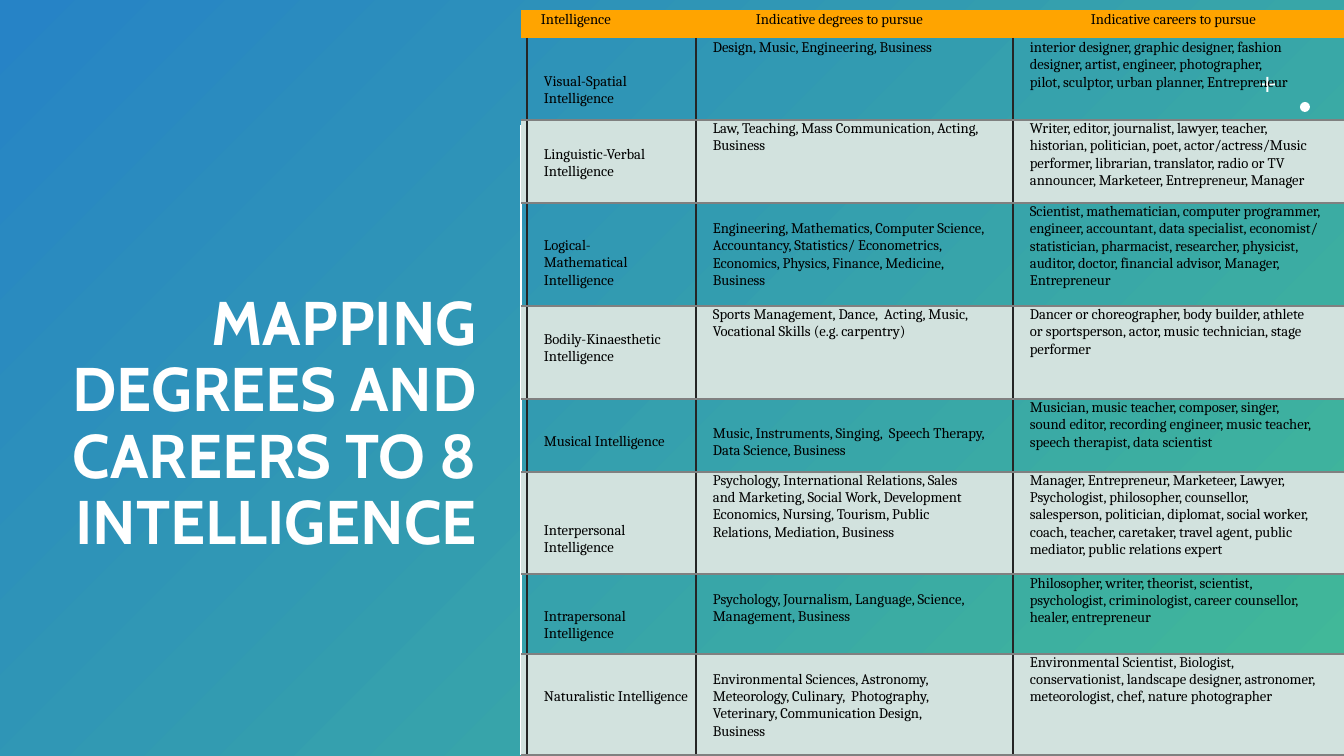
"""Build a slide that maps eight intelligences to degrees and careers."""
from lxml import etree
from pptx import Presentation
from pptx.dml.color import RGBColor
from pptx.enum.shapes import MSO_CONNECTOR, MSO_SHAPE
from pptx.enum.text import MSO_ANCHOR, MSO_AUTO_SIZE, PP_ALIGN
from pptx.oxml.ns import qn
from pptx.util import Pt

STRAIGHT = MSO_CONNECTOR.STRAIGHT
RECTANGLE, CROSS, OVAL = MSO_SHAPE.RECTANGLE, MSO_SHAPE.CROSS, MSO_SHAPE.OVAL
MIDDLE, RIGHT, NO_FIT = MSO_ANCHOR.MIDDLE, PP_ALIGN.RIGHT, MSO_AUTO_SIZE.NONE
BLUE = RGBColor(0x26, 0x83, 0xC6)
GREEN = RGBColor(0x42, 0xBA, 0x97)
WHITE = RGBColor(0xFF, 0xFF, 0xFF)
BLACK = RGBColor(0x00, 0x00, 0x00)
ORANGE = RGBColor(0xFF, 0xA4, 0x00)
PALE = RGBColor(0xD2, 0xE2, 0xDE)
DARK = RGBColor(0x25, 0x25, 0x25)
GREY = RGBColor(0x80, 0x80, 0x80)
PX = 914400 / 100.8
NO_STYLE = "{2D5ABB26-0587-4C30-8999-92F81FD0307C}"

COLUMN_WIDTHS = [6, 169, 317, 331]
ROW_HEIGHTS = [28, 82, 83, 103, 93, 73, 102, 80, 101]
HEADINGS = "Intelligence\tIndicative degrees to pursue\tIndicative careers to pursue"
HEADING_TABS = [215, 550]

# Each entry holds the text, its top inset and its right inset.
INTELLIGENCES = [
    [("Visual-Spatial Intelligence", 35, 29),
     ("Design, Music, Engineering, Business", 1, 20),
     ("interior designer, graphic designer, fashion designer, artist, engineer, "
      "photographer, pilot, sculptor, urban planner, Entrepreneur", 1, 52)],
    [("Linguistic-Verbal Intelligence", 26, 29),
     ("Law, Teaching, Mass Communication, Acting, Business", 0, 20),
     ("Writer, editor, journalist, lawyer, teacher, historian, politician, poet, "
      "actor/actress/Music performer, librarian, translator, radio or TV announcer, "
      "Marketeer, Entrepreneur, Manager", 0, 26)],
    [("Logical-Mathematical Intelligence", 34, 29),
     ("Engineering, Mathematics, Computer Science, Accountancy, Statistics/ "
      "Econometrics, Economics, Physics, Finance, Medicine, Business", 17, 20),
     ("Scientist, mathematician, computer programmer, engineer, accountant, "
      "data specialist, economist/ statistician, pharmacist, researcher, physicist, "
      "auditor, doctor, financial advisor, Manager, Entrepreneur", 0, 15)],
    [("Bodily-Kinaesthetic Intelligence", 25, 29),
     ("Sports Management, Dance,  Acting, Music, Vocational Skills (e.g. carpentry)", 0, 20),
     ("Dancer or choreographer, body builder, athlete or sportsperson, actor, "
      "music technician, stage performer", 0, 31)],
    [("Musical Intelligence", 34, 29),
     ("Music, Instruments, Singing,  Speech Therapy, Data Science, Business", 26, 18),
     ("Musician, music teacher, composer, singer, sound editor, recording engineer, "
      "music teacher, speech therapist, data scientist", 0, 28)],
    [("Interpersonal Intelligence", 50, 29),
     ("Psychology, International Relations, Sales and Marketing, Social Work, "
      "Development Economics, Nursing, Tourism, Public Relations, Mediation, Business", 0, 38),
     ("Manager, Entrepreneur, Marketeer, Lawyer, Psychologist, philosopher, "
      "counsellor, salesperson, politician, diplomat, social worker, coach, teacher, "
      "caretaker, travel agent, public mediator, public relations expert", 0, 25)],
    [("Intrapersonal Intelligence", 34, 29),
     ("Psychology, Journalism, Language, Science, Management, Business", 17, 20),
     ("Philosopher, writer, theorist, scientist, psychologist, criminologist, "
      "career counsellor, healer, entrepreneur", 1, 26)],
    [("Naturalistic Intelligence", 34, 2),
     ("Environmental Sciences, Astronomy, Meteorology, Culinary,  Photography, "
      "Veterinary, Communication Design, Business", 17, 58),
     ("Environmental Scientist, Biologist, conservationist, landscape designer, "
      "astronomer, meteorologist, chef, nature photographer", 0, 22)],
]


def px(*lengths):
    return [round(length * PX) for length in lengths]


def write_cell(cell, text, left, top, right):
    cell.margin_left, cell.margin_top, cell.margin_right, cell.margin_bottom = px(left, top, right, 0)
    cell.text_frame.text = text
    for run in cell.text_frame.paragraphs[0].runs:
        run.font.name, run.font.size, run.font.color.rgb = "Cambria", Pt(10.5), BLACK


presentation = Presentation()
presentation.slide_width, presentation.slide_height = px(1344, 756)
slide = presentation.slides.add_slide(presentation.slide_layouts[5])
shapes = slide.shapes

backdrop = shapes.add_shape(RECTANGLE, *px(0, 0, 1344, 756))
backdrop.shadow.inherit = False
backdrop.line.fill.background()
backdrop.fill.gradient()
backdrop.fill.gradient_angle = 315
for stop, color, position in zip(backdrop.fill.gradient_stops, (BLUE, GREEN), (0, 1)):
    stop.color.rgb = color
    stop.position = position

title = shapes.title
backdrop._element.addnext(title._element)
title.left, title.top, title.width, title.height = px(0, 117, 487, 616)
title.text_frame.text = "MAPPING DEGREES AND CAREERS TO 8 INTELLIGENCE"
title.text_frame.word_wrap = True
title.text_frame.auto_size = NO_FIT
title.text_frame.vertical_anchor = MIDDLE
heading = title.text_frame.paragraphs[0]
heading.alignment = RIGHT
heading.line_spacing = 0.9
heading_font = heading.runs[0].font
heading_font.name, heading_font.size, heading_font.bold = "Cabin", Pt(44), True
heading_font.color.rgb = WHITE

for preset, box in ((CROSS, (1260, 77, 15, 15)), (OVAL, (1300, 102, 10, 10))):
    ornament = shapes.add_shape(preset, *px(*box))
    ornament.shadow.inherit = False
    ornament.fill.solid()
    ornament.fill.fore_color.rgb = WHITE
    ornament.line.fill.background()
    if preset == CROSS:
        ornament.adjustments[0] = 0.43

divider = shapes.add_connector(STRAIGHT, *px(521, 125, 521, 755))
divider.line.color.rgb = WHITE
divider.line.width = Pt(2)
etree.SubElement(divider._element.spPr, qn("a:effectLst"))

table = shapes.add_table(9, 4, *px(521, 10, 823, 745)).table
table.first_row = table.horz_banding = False
table._tbl.tblPr.find(qn("a:tableStyleId")).text = NO_STYLE
for column, width in zip(table.columns, px(*COLUMN_WIDTHS)):
    column.width = width
for row, height in zip(table.rows, px(*ROW_HEIGHTS)):
    row.height = height

header = table.cell(0, 0)
header.merge(table.cell(0, 3))
header.fill.solid()
header.fill.fore_color.rgb = ORANGE
write_cell(header, HEADINGS, 20, 1, 0)
header_properties = header.text_frame.paragraphs[0]._p.get_or_add_pPr()
tab_list = etree.SubElement(header_properties, qn("a:tabLst"))
for stop in px(*HEADING_TABS):
    etree.SubElement(tab_list, qn("a:tab"), pos=str(stop), algn="l")

for row, entries in enumerate(INTELLIGENCES, start=1):
    for column in range(4):
        cell = table.cell(row, column)
        edges = [("a:lnB", GREY, 1.5)]
        if row > 1:
            edges.insert(0, ("a:lnT", GREY, 1.5))
        if column < 3:
            edges.insert(0, ("a:lnR", DARK, 1))
        if column > 0:
            edges.insert(0, ("a:lnL", DARK, 1))
        for tag, color, width in edges:
            edge = etree.SubElement(cell._tc.get_or_add_tcPr(), qn(tag), w=str(Pt(width)))
            paint = etree.SubElement(edge, qn("a:solidFill"))
            etree.SubElement(paint, qn("a:srgbClr"), val=str(color))
        if row % 2:
            cell.fill.background()
        else:
            cell.fill.solid()
            cell.fill.fore_color.rgb = PALE
        if column == 0:
            cell.margin_left = cell.margin_right = 0
        else:
            text, top, right = entries[column - 1]
            write_cell(cell, text, 17, top, right)
            cell.text_frame.paragraphs[0].line_spacing = 1.03

presentation.save("out.pptx")
